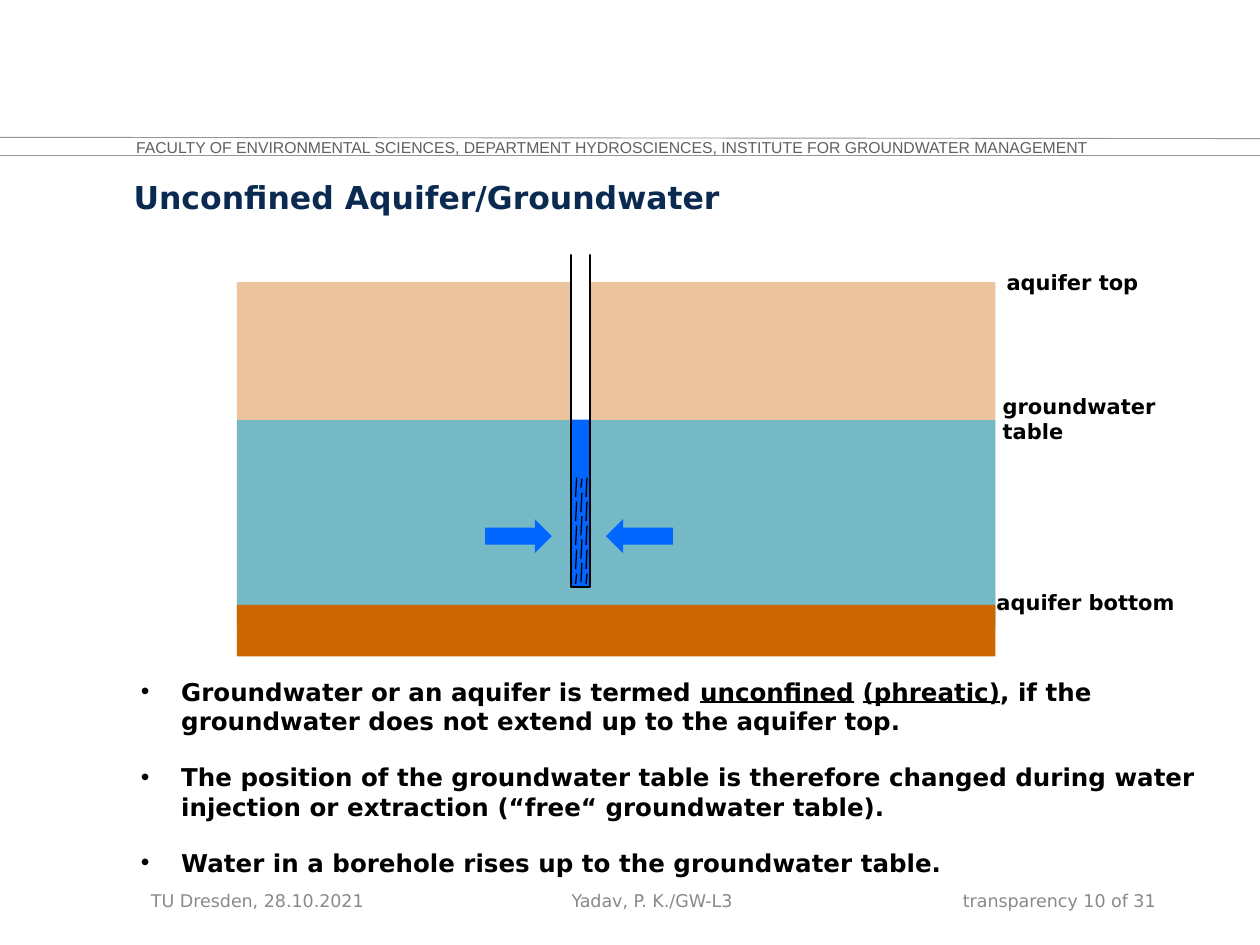
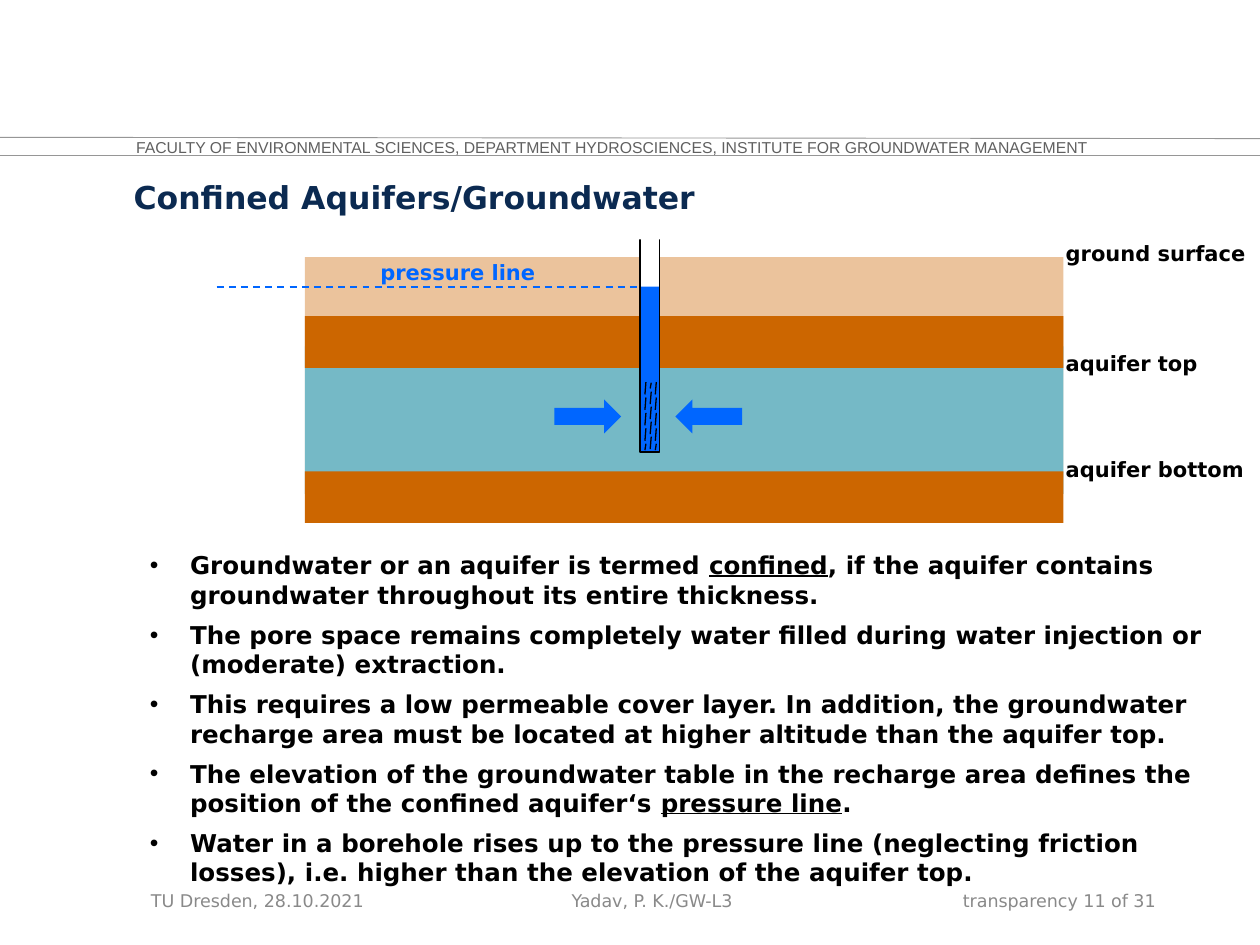
from collections import namedtuple

from lxml.etree import SubElement
from pptx import Presentation
from pptx.dml.color import RGBColor
from pptx.enum.dml import MSO_LINE
from pptx.enum.shapes import MSO_CONNECTOR, MSO_SHAPE
from pptx.enum.text import MSO_ANCHOR, PP_ALIGN
from pptx.oxml.ns import qn
from pptx.util import Inches, Pt

CELL = Inches(0.1)
COLS, ROWS = 100, 75

BLACK = RGBColor(0x00, 0x00, 0x00)
WHITE = RGBColor(0xFF, 0xFF, 0xFF)
NAVY = RGBColor(0x0B, 0x2A, 0x51)
RULE_GREY = RGBColor(0x96, 0x96, 0x96)
HEADER_GREY = RGBColor(0x60, 0x60, 0x60)
FOOTER_GREY = RGBColor(0x89, 0x89, 0x89)
EARTH = RGBColor(0xCC, 0x66, 0x00)
AQUA = RGBColor(0x00, 0xB0, 0xF0)
BLUE = RGBColor(0x00, 0x66, 0xFF)

SANS, HEADER_FONT = "DejaVu Sans", "Arial"
HEADER = ("FACULTY OF ENVIRONMENTAL SCIENCES, DEPARTMENT HYDROSCIENCES, "
          "INSTITUTE FOR GROUNDWATER MANAGEMENT")

Box = namedtuple("Box", "x y w h")
Layer = namedtuple("Layer", "top height color opacity")
Label = namedtuple("Label", "text dx dy width")


def grid(*cells):
    """Turn grid cells into slide lengths."""
    return [round(n * CELL) for n in cells]


def add_text(s, box, text, size, color=BLACK, bold=False, font=SANS,
             align=PP_ALIGN.LEFT, anchor=MSO_ANCHOR.TOP, left=1, top=0.5):
    """Place one line of styled text in a box."""
    tf = s.shapes.add_textbox(*grid(*box)).text_frame
    tf.word_wrap = True
    tf.vertical_anchor = anchor
    tf.margin_left, tf.margin_top = grid(left, top)
    tf.margin_right, tf.margin_bottom = grid(1, 0.5)
    p = tf.paragraphs[0]
    p.alignment = align
    add_run(p, text, size, color, bold, font)
    return tf


def add_run(p, text, size, color=BLACK, bold=False, font=SANS, underline=False):
    """Append a styled run to a paragraph."""
    r = p.add_run()
    r.text = text
    r.font.name, r.font.size, r.font.bold = font, Pt(size), bold
    r.font.color.rgb = color
    if underline:
        r.font.underline = True


def add_fill(s, box, color, opacity=100, kind=MSO_SHAPE.RECTANGLE):
    """Draw a borderless filled shape."""
    sp = s.shapes.add_shape(kind, *grid(*box))
    sp.shadow.inherit = False
    sp.fill.solid()
    sp.fill.fore_color.rgb = color
    sp.line.fill.background()
    if opacity < 100:
        clr = sp.fill._xPr.find(qn("a:solidFill"))[0]
        SubElement(clr, qn("a:alpha"), val=str(opacity * 1000))
    return sp


def add_line(s, x1, y1, x2, y2, color, width):
    """Draw a straight line without shadow."""
    ln = s.shapes.add_connector(MSO_CONNECTOR.STRAIGHT, *grid(x1, y1, x2, y2))
    ln.line.color.rgb = color
    ln.line.width = Pt(width)
    SubElement(ln._element.spPr, qn("a:effectLst"))
    return ln


def add_frame(s, title, number):
    """Draw the header band, the title and the footer."""
    add_line(s, 0, 12.3, COLS, 12.3, RULE_GREY, 0.5)
    add_line(s, 0, 10.9, COLS, 11, RULE_GREY, 0.5)
    add_text(s, Box(10.8, 11.1, 81.7, 1.7), HEADER, 9, HEADER_GREY,
             font=HEADER_FONT, anchor=MSO_ANCHOR.MIDDLE, left=0, top=0)
    footers = [(11, 25.6, "TU Dresden, 28.10.2021", PP_ALIGN.LEFT),
               (35.9, 31.7, "Yadav, P. K./GW-L3", PP_ALIGN.CENTER),
               (69.4, 23.3, f"transparency {number} of 31", PP_ALIGN.RIGHT)]
    for x, w, text, align in footers:
        add_text(s, Box(x, 69.5, w, 4), text, 10, FOOTER_GREY,
                 align=align, anchor=MSO_ANCHOR.MIDDLE)
    add_text(s, Box(10.6, 13.6, 69.9, 4.2), title, 18, NAVY, True, left=0)


def add_strata(s, box, layers, labels):
    """Stack the ground layers in a box and label their boundaries at the right."""
    for layer in layers:
        add_fill(s, Box(box.x, box.y + layer.top, box.w, layer.height),
                 layer.color, layer.opacity)
    for label in labels:
        height = 5.1 if label.text == "groundwater table" else 3.1
        add_text(s, Box(box.x + box.w + label.dx, box.y + label.dy, label.width, height),
                 label.text, 12, bold=True)


def add_screen(s, box):
    """Draw the three columns of filter slots in the lower part of a casing."""
    slot, pitch = 0.058, 0.072
    outer = [(0.672 + pitch * i, slot if i < 4 else 0.03) for i in range(5)]
    middle = [(0.675, 0.027)] + [(0.717 + 0.07 * i, slot) for i in range(4)]
    for share, column in ((0.25, outer), (0.52, middle), (0.78, outer)):
        x = box.x + share * box.w
        for start, length in column:
            y = box.y + start * box.h
            add_line(s, x + 0.08, y, x, y + length * box.h, BLACK, 0.75)


def add_well(s, box, water_depth, arrow_depth):
    """Draw a borehole with its water column, open top, filter and inflow arrows."""
    for dx, angle in ((-6.8, 0), (2.8, 180)):
        arrow = add_fill(s, Box(box.x + dx, box.y + arrow_depth, 5.3, 2.7), BLUE,
                         kind=MSO_SHAPE.RIGHT_ARROW)
        arrow.rotation = angle
    add_fill(s, box, WHITE)
    add_fill(s, Box(box.x, box.y + water_depth, box.w, box.h - water_depth), BLUE)
    casing = s.shapes.add_shape(MSO_SHAPE.RECTANGLE, *grid(*box))
    casing.shadow.inherit = False
    casing.fill.background()
    casing.line.color.rgb = BLACK
    casing.line.width = Pt(1)
    add_fill(s, Box(box.x - 0.8, box.y - 0.7, 3.1, 0.8), WHITE)
    add_screen(s, box)


def add_bullets(s, box, items, gap):
    """Write bold bullets; words between underscores are underlined."""
    tf = s.shapes.add_textbox(*grid(*box)).text_frame
    tf.word_wrap = True
    for i, item in enumerate(items):
        p = tf.add_paragraph() if i else tf.paragraphs[0]
        pPr = p._p.get_or_add_pPr()
        pPr.set("marL", str(Inches(0.32)))
        pPr.set("indent", str(-Inches(0.32)))
        color = SubElement(pPr, qn("a:buClr"))
        SubElement(color, qn("a:srgbClr"), val=str(BLACK))
        SubElement(pPr, qn("a:buFont"), typeface=HEADER_FONT)
        SubElement(pPr, qn("a:buChar"), char="•")
        p.space_after = Pt(gap)
        for n, part in enumerate(item.split("_")):
            add_run(p, part, 14, bold=True, underline=n % 2 == 1)


def unconfined_slide(s):
    """Build the slide on unconfined aquifers."""
    add_frame(s, "Unconfined Aquifer/Groundwater", 10)
    add_strata(s, Box(18.8, 22.4, 60.2, 29.7),
               [Layer(0, 27.3, EARTH, 39), Layer(10.95, 16.4, AQUA, 50),
                Layer(25.6, 4.1, EARTH, 100)],
               [Label("aquifer top", -0.1, -1.5, 14.8),
                Label("groundwater table", -0.4, 8.3, 16.7),
                Label("aquifer bottom", -0.9, 23.9, 17.2)])
    add_well(s, Box(45.3, 20.1, 1.55, 26.5), 13.2, 21.1)
    add_bullets(s, Box(10.2, 53.2, 86, 17.2), [
        "Groundwater or an aquifer is termed _unconfined_ _(phreatic)_, "
        "if the groundwater does not extend up to the aquifer top.",
        "The position of the groundwater table is therefore changed during "
        "water injection or extraction (“free“ groundwater table).",
        "Water in a borehole rises up to the groundwater table."], 15.3)


def confined_slide(s):
    """Build the slide on confined aquifers."""
    add_frame(s, "Confined Aquifers/Groundwater", 11)
    strata = Box(24.2, 20.4, 60.2, 21.1)
    add_strata(s, strata,
               [Layer(0, 18.8, EARTH, 39), Layer(7.1, 11.7, AQUA, 50),
                Layer(17, 4.1, EARTH, 100), Layer(4.7, 4.1, EARTH, 100)],
               [Label("ground surface", -0.8, -1.8, 18.1),
                Label("aquifer top", -0.8, 6.9, 14.8),
                Label("aquifer bottom", -0.8, 15.3, 17.2)])
    well = Box(50.8, 18.9, 1.55, 17)
    add_well(s, well, 3.85, 12.8)
    level = strata.y + 2.4
    line = add_line(s, 17.2, level, well.x, level, BLUE, 1)
    line.line.dash_style = MSO_LINE.DASH
    add_text(s, Box(strata.x + 5, level - 2.7, 16.1, 3.1), "pressure line", 12, BLUE, True)
    add_bullets(s, Box(10.9, 43.2, 87.1, 28), [
        "Groundwater or an aquifer is termed _confined_, if the aquifer contains "
        "groundwater throughout its entire thickness.",
        "The pore space remains completely water filled during water injection or "
        "(moderate) extraction.",
        "This requires a low permeable cover layer. In addition, the groundwater "
        "recharge area must be located at higher altitude than the aquifer top.",
        "The elevation of the groundwater table in the recharge area defines the "
        "position of the confined aquifer‘s _pressure line_.",
        "Water in a borehole rises up to the pressure line (neglecting friction "
        "losses), i.e. higher than the elevation of the aquifer top."], 6)


def main():
    """Build and save the presentation."""
    prs = Presentation()
    prs.slide_width, prs.slide_height = grid(COLS, ROWS)
    for build in (unconfined_slide, confined_slide):
        build(prs.slides.add_slide(prs.slide_layouts[6]))
    prs.save("out.pptx")


if __name__ == "__main__":
    main()
